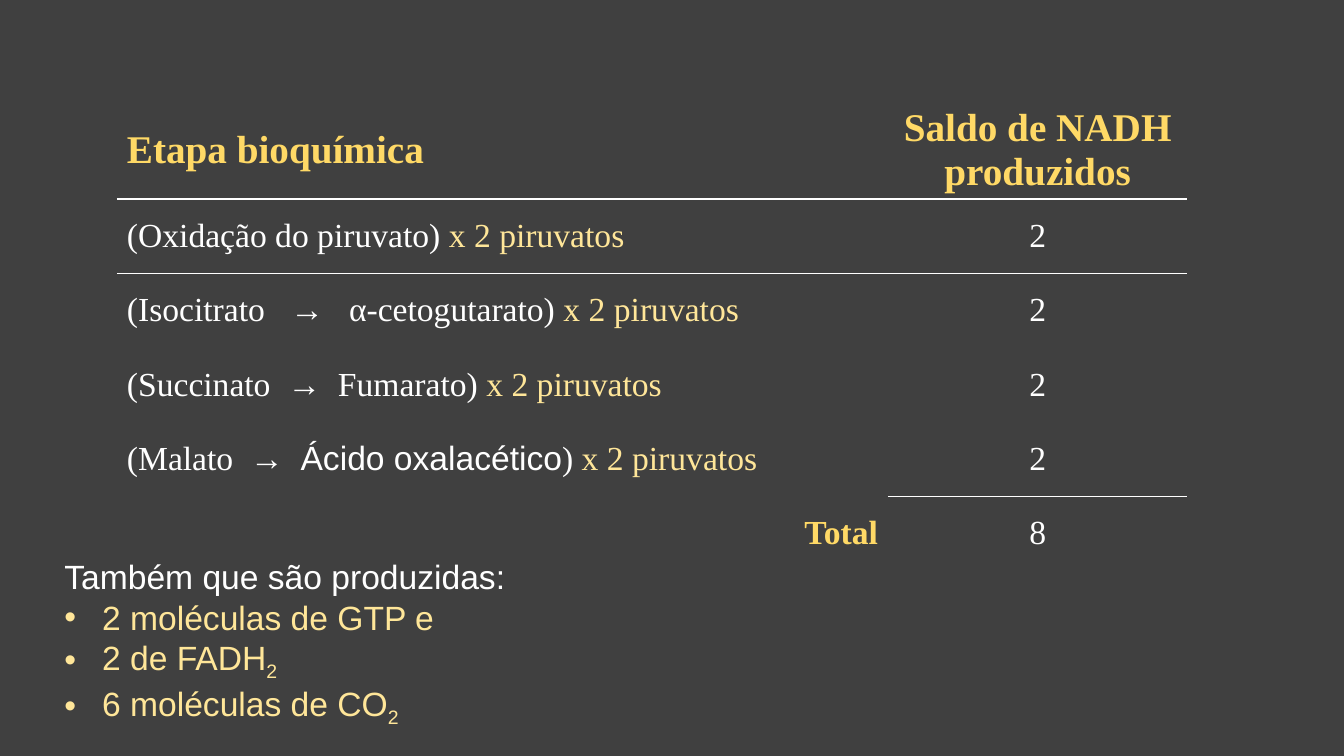
from lxml import etree
from pptx import Presentation
from pptx.dml.color import RGBColor
from pptx.enum.text import MSO_ANCHOR, PP_ALIGN
from pptx.oxml import ns
from pptx.util import Pt

SERIF, SANS = "Times New Roman", "Arial"
WHITE, GOLD, CREAM, CHARCOAL = "FFFFFF", "FFD966", "FFE699", "404040"
NO_GRID_STYLE = "{2D5ABB26-0587-4C30-8999-92F81FD0307C}"
HEADER_HEIGHT, ROW_HEIGHT = 69.4, 53.1
TIMES_TWO = ("x 2 piruvatos", CREAM, SERIF, 0)


def color(hex_string):
    return RGBColor.from_string(hex_string)


def white(words, font=SERIF, gap=0):
    return words, WHITE, font, gap


def reaction(substrate, product, gap, product_font=SERIF):
    """Runs for 'substrate → product', with gap points added around the arrow."""
    return [white("(" + substrate), white(" ", gap=gap), white("→"),
            white(" ", gap=gap), white(product, product_font), white(") "), TIMES_TWO]


STEPS = [
    ([white("(Oxidação do piruvato) "), TIMES_TWO], "2"),
    (reaction("Isocitrato", "α-cetogutarato", 12), "2"),
    (reaction("Succinato", "Fumarato", 6), "2"),
    (reaction("Malato", "Ácido oxalacético", 6, SANS), "2"),
]


def fill_cell(cell, runs, size=24, bold=False, align=PP_ALIGN.LEFT):
    cell.fill.background()
    cell.vertical_anchor = MSO_ANCHOR.MIDDLE
    paragraph = cell.text_frame.paragraphs[0]
    paragraph.alignment = align
    for words, hex_string, font, gap in runs:
        run = paragraph.add_run()
        run.text = words
        run.font.name, run.font.size, run.font.bold = font, Pt(size), bold
        run.font.color.rgb = color(hex_string)
        if gap:
            run.font._element.set("spc", str(gap * 100))


def add_border(cell, side):
    """Draw a 1 pt white line on side 'T' or 'B' of the cell."""
    properties = cell._tc.get_or_add_tcPr()
    line = etree.Element(ns.qn("a:ln" + side), w=str(Pt(1)))
    fill = etree.SubElement(line, ns.qn("a:solidFill"))
    etree.SubElement(fill, ns.qn("a:srgbClr"), val=WHITE)
    properties.insert(0, line)


def add_rule_below(table, row, column):
    add_border(table.cell(row, column), "B")
    add_border(table.cell(row + 1, column), "T")


def add_balance_table(slide, left, top, width, count_width):
    total_row = len(STEPS) + 1
    height = HEADER_HEIGHT + total_row * ROW_HEIGHT
    table = slide.shapes.add_table(total_row + 1, 2, Pt(left), Pt(top),
                                   Pt(width), Pt(height)).table
    table.first_row = table.horz_banding = False
    table._tbl.tblPr.find(ns.qn("a:tableStyleId")).text = NO_GRID_STYLE
    table.columns[0].width = Pt(width - count_width)
    table.columns[1].width = Pt(count_width)
    for index, row in enumerate(table.rows):
        row.height = Pt(ROW_HEIGHT if index else HEADER_HEIGHT)

    center = PP_ALIGN.CENTER
    for column, (title, align) in enumerate([("Etapa bioquímica", PP_ALIGN.LEFT),
                                             ("Saldo de NADH produzidos", center)]):
        fill_cell(table.cell(0, column), [(title, GOLD, SERIF, 0)], 28, True, align)
    for index, (runs, count) in enumerate(STEPS, 1):
        fill_cell(table.cell(index, 0), runs)
        fill_cell(table.cell(index, 1), [white(count)], align=center)
    fill_cell(table.cell(total_row, 0), [("Total", GOLD, SERIF, 0)],
              bold=True, align=PP_ALIGN.RIGHT)
    fill_cell(table.cell(total_row, 1), [white("8")], align=center)

    for row, column in [(0, 0), (0, 1), (total_row - 1, 1)]:
        add_rule_below(table, row, column)


def add_bullet(paragraph, indent):
    properties = paragraph._p.get_or_add_pPr()
    properties.set("marL", str(Pt(indent)))
    properties.set("indent", str(-Pt(indent)))
    etree.SubElement(properties, ns.qn("a:buFont"), typeface=SANS)
    etree.SubElement(properties, ns.qn("a:buChar"), char="•")


def add_other_products(slide, left, top, width, height):
    frame = slide.shapes.add_textbox(Pt(left), Pt(top), Pt(width), Pt(height)).text_frame
    frame.word_wrap = True
    lines = [("Também que são produzidas:", ""), ("2 moléculas de GTP e", ""),
             ("2 de FADH", "2"), ("6 moléculas de CO", "2")]
    for index, (words, subscript) in enumerate(lines):
        paragraph = frame.add_paragraph() if index else frame.paragraphs[0]
        paragraph.font.name, paragraph.font.size = SANS, Pt(24)
        paragraph.font.color.rgb = color(CREAM if index else WHITE)
        if index:
            add_bullet(paragraph, 27)
        paragraph.add_run().text = words
        if subscript:
            run = paragraph.add_run()
            run.text = subscript
            run.font._element.set("baseline", "-25000")


def main():
    presentation = Presentation()
    presentation.slide_width, presentation.slide_height = Pt(960), Pt(540)
    slide = presentation.slides.add_slide(presentation.slide_layouts[6])
    slide.background.fill.solid()
    slide.background.fill.fore_color.rgb = color(CHARCOAL)
    add_balance_table(slide, left=83.5, top=72.7, width=764.6, count_width=213.8)
    add_other_products(slide, left=38.9, top=393.8, width=422.6, height=123.8)
    presentation.save("out.pptx")


if __name__ == "__main__":
    main()
